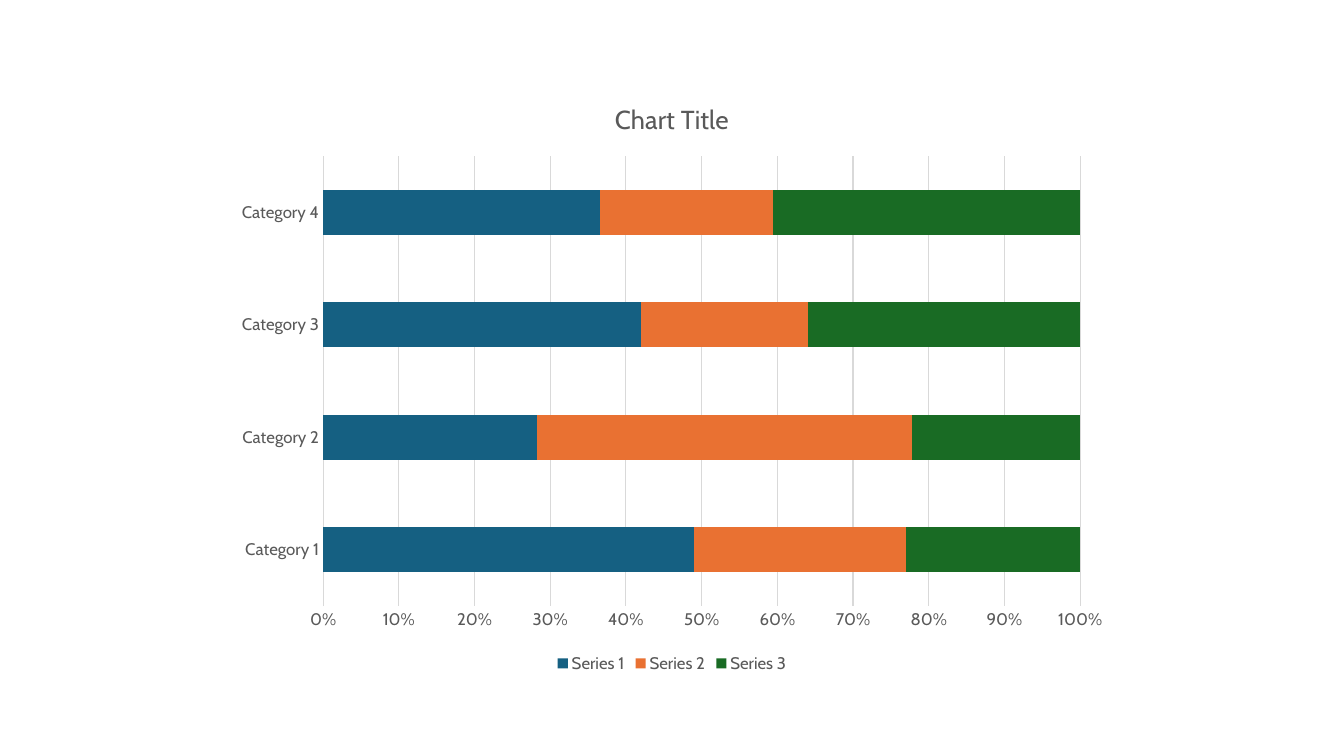
"""Build a slide with one 100% stacked bar chart."""
from dataclasses import dataclass

from pptx import Presentation
from pptx.chart.data import CategoryChartData
from pptx.dml.color import RGBColor
from pptx.enum.chart import XL_CHART_TYPE, XL_LEGEND_POSITION, XL_TICK_MARK
from pptx.util import Inches, Pt

STACKED_BAR = XL_CHART_TYPE.BAR_STACKED_100
LEGEND_BOTTOM = XL_LEGEND_POSITION.BOTTOM
NO_TICK = XL_TICK_MARK.NONE
BLANK_LAYOUT = 6
FONT = "Cabin"
TEXT_GREY = "595959"
LINE_GREY = "D9D9D9"


@dataclass(frozen=True)
class BarSeries:
    name: str
    shares: tuple[int, ...]
    color: str


CATEGORIES = [f"Category {number}" for number in range(1, 5)]
SERIES = (
    BarSeries("Series 1", (49, 28, 42, 37), "156082"),
    BarSeries("Series 2", (28, 49, 22, 23), "E97132"),
    BarSeries("Series 3", (23, 22, 36, 41), "196B24"),
)


def rgb(color: str) -> RGBColor:
    return RGBColor.from_string(color)


def style_font(font, size: float = 12, color: str = TEXT_GREY) -> None:
    font.name = FONT
    font.size = Pt(size)
    font.bold = False
    font.color.rgb = rgb(color)


def write_text(frame, text: str, **font_format) -> None:
    frame.text = text
    style_font(frame.paragraphs[0].runs[0].font, **font_format)


def style_line(line) -> None:
    line.color.rgb = rgb(LINE_GREY)
    line.width = Pt(0.75)


def style_axes(chart) -> None:
    for axis in (chart.category_axis, chart.value_axis):
        axis.major_tick_mark = NO_TICK
        axis.minor_tick_mark = NO_TICK
        style_font(axis.tick_labels.font)
    style_line(chart.category_axis.format.line)

    shares = chart.value_axis
    shares.minimum_scale = 0
    shares.maximum_scale = 1
    shares.major_unit = 0.1
    shares.format.line.fill.background()
    shares.has_major_gridlines = True
    style_line(shares.major_gridlines.format.line)
    shares.tick_labels.number_format = "0%"
    shares.tick_labels.number_format_is_linked = False


def style_bars(plot) -> None:
    plot.gap_width = 150
    plot.overlap = 100
    plot.vary_by_categories = False
    for bars, series in zip(plot.series, SERIES):
        bars.format.fill.solid()
        bars.format.fill.fore_color.rgb = rgb(series.color)
        bars.invert_if_negative = False


def add_share_chart(slide) -> None:
    data = CategoryChartData()
    data.categories = CATEGORIES
    for series in SERIES:
        data.add_series(series.name, series.shares)
    chart = slide.shapes.add_chart(
        STACKED_BAR, Inches(2.22), Inches(0.79), Inches(8.89), Inches(5.93), data
    ).chart
    style_font(chart.font, size=10, color="000000")
    chart.has_title = True
    write_text(chart.chart_title.text_frame, "Chart Title", size=18.6)
    chart.chart_title.include_in_layout = False
    chart.has_legend = True
    chart.legend.position = LEGEND_BOTTOM
    chart.legend.include_in_layout = False
    style_font(chart.legend.font)
    style_axes(chart)
    style_bars(chart.plots[0])


def main() -> None:
    deck = Presentation()
    deck.slide_width = Inches(13.33)
    deck.slide_height = Inches(7.5)
    slide = deck.slides.add_slide(deck.slide_layouts[BLANK_LAYOUT])
    add_share_chart(slide)
    deck.save("out.pptx")


if __name__ == "__main__":
    main()
